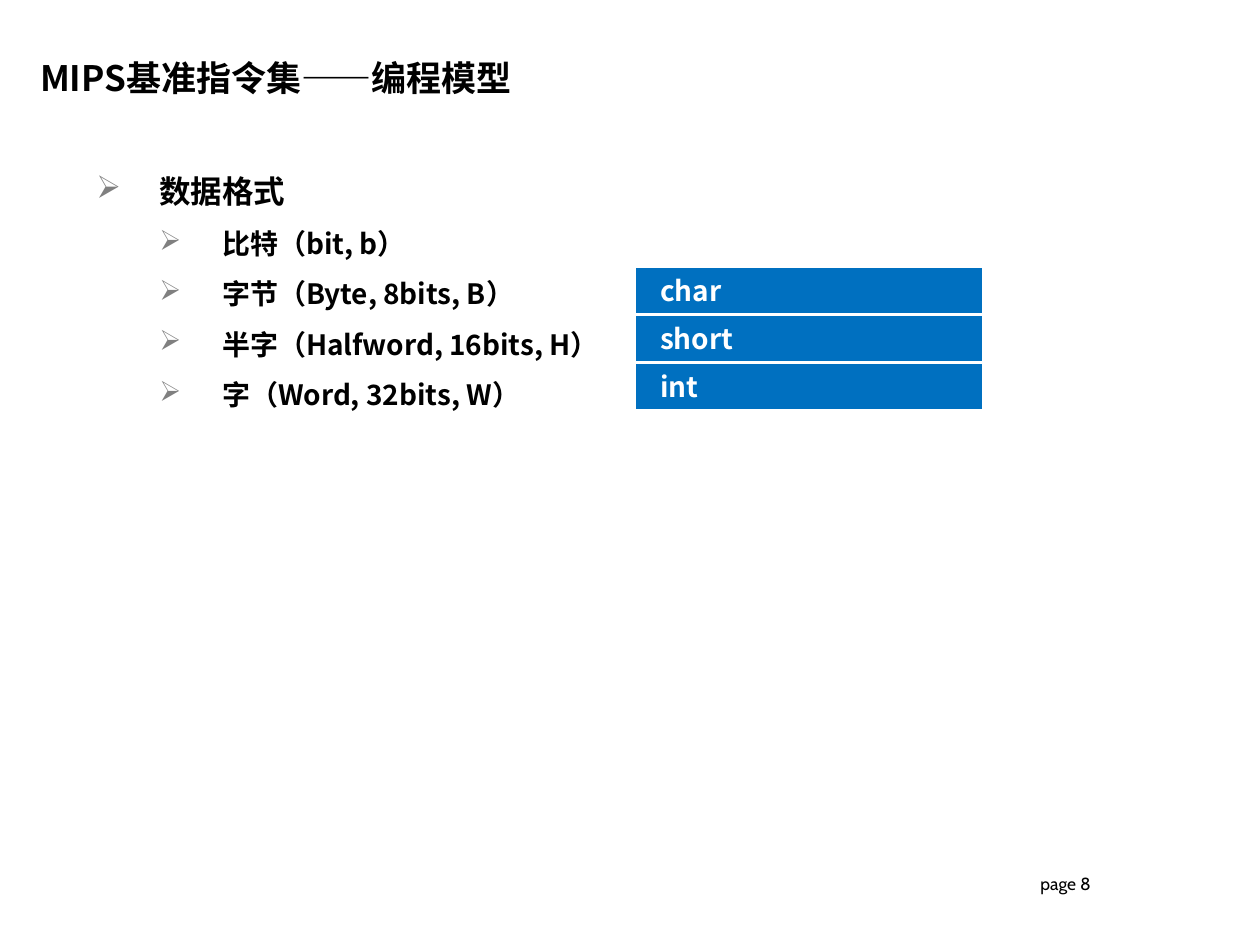
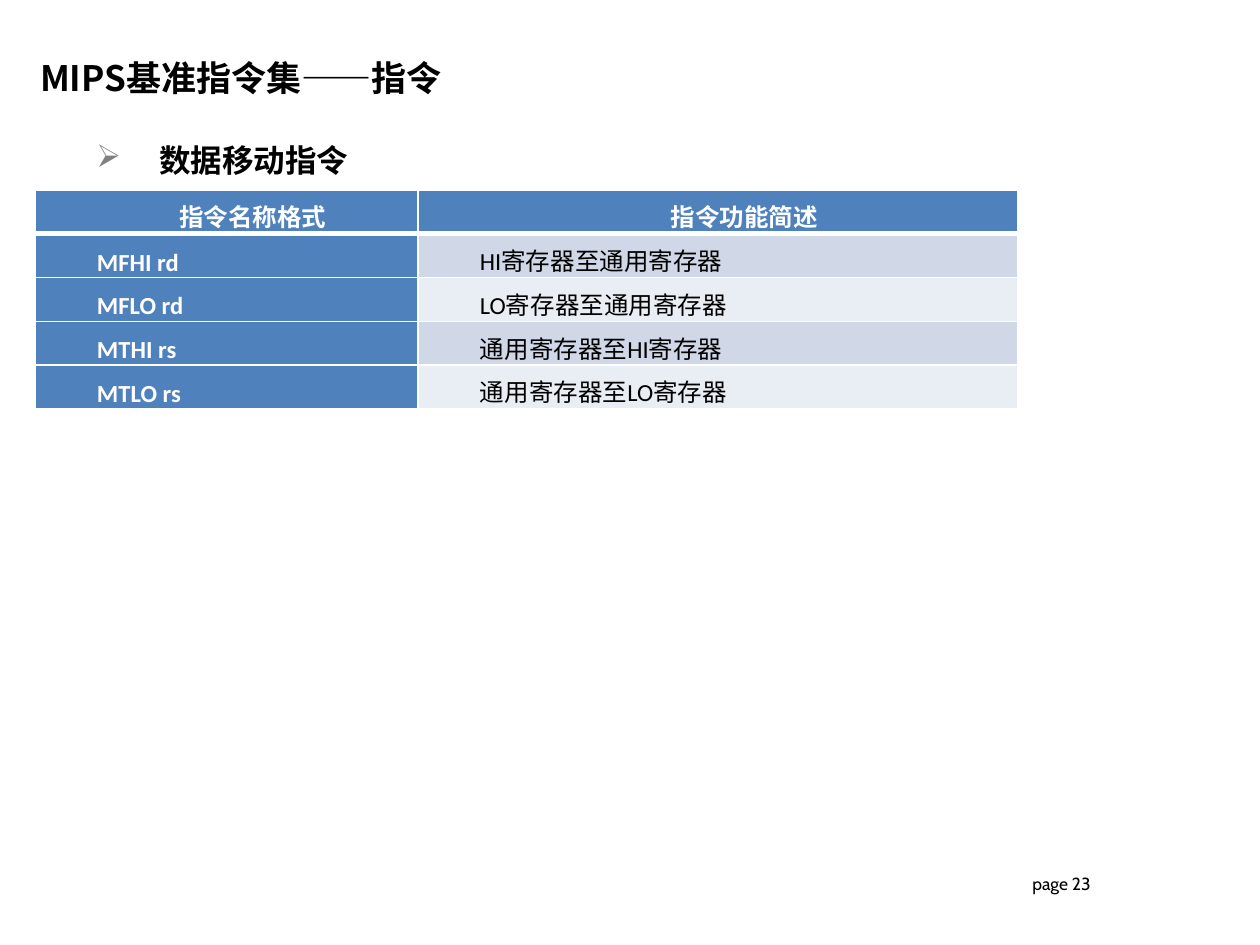
"""Builds two slides on the MIPS instruction set: data formats and data movement."""
from dataclasses import dataclass

from lxml.etree import SubElement
from pptx import Presentation
from pptx.dml.color import RGBColor
from pptx.enum.shapes import MSO_SHAPE
from pptx.enum.text import MSO_ANCHOR, PP_ALIGN
from pptx.oxml.ns import qn
from pptx.util import Pt

PX = 914400 // 126


@dataclass(frozen=True)
class Theme:
    black: str = "000000"
    white: str = "FFFFFF"
    bullet: str = "808080"
    bar: str = "0070C0"
    header: str = "4F81BD"
    bands: tuple = ("D0D8E8", "E9EDF4")
    heading_font: str = "Noto Sans CJK SC"
    table_font: str = "Calibri"
    footer_font: str = "Cabin"
    title_size: int = 20
    list_sizes: tuple = (18, 16)
    table_size: int = 14
    footer_size: int = 10


theme = Theme()


def style_text(paragraph, size, color, font=theme.heading_font, bold=True):
    for run in paragraph.runs:
        run.font.size = Pt(size)
        run.font.bold = bold
        run.font.name = font
        run.font.color.rgb = RGBColor.from_string(color)
        SubElement(run._r.get_or_add_rPr(), qn("a:ea"), typeface=theme.heading_font)


def add_text_frame(slide, left, top, width, height, anchor=MSO_ANCHOR.TOP):
    text_frame = slide.shapes.add_textbox(left * PX, top * PX, width * PX, height * PX).text_frame
    text_frame.word_wrap = True
    text_frame.vertical_anchor = anchor
    return text_frame


presentation = Presentation()
presentation.slide_width = 1260 * PX
presentation.slide_height = 945 * PX

pages = [
    ("MIPS基准指令集——编程模型", "page 8", 147, 273, [
        (0, "数据格式"),
        (1, "比特（bit, b）"),
        (1, "字节（Byte, 8bits, B）"),
        (1, "半字（Halfword, 16bits, H）"),
        (1, "字（Word, 32bits, W）"),
    ]),
    ("MIPS基准指令集——指令", "page 23", 116, 63, [(0, "数据移动指令")]),
]
slides = []
for title, page_label, list_top, list_height, items in pages:
    slide = presentation.slides.add_slide(presentation.slide_layouts[6])
    slides.append(slide)

    footer = add_text_frame(slide, 809, 859, 294, 50, MSO_ANCHOR.MIDDLE)
    footer.text = page_label
    footer.paragraphs[0].alignment = PP_ALIGN.RIGHT
    style_text(footer.paragraphs[0], theme.footer_size, theme.black, theme.footer_font, False)

    heading = add_text_frame(slide, 30, 48, 740, 55, MSO_ANCHOR.BOTTOM)
    heading.margin_left = heading.margin_right = 10 * PX
    heading.margin_top = heading.margin_bottom = 5 * PX
    heading.text = title
    style_text(heading.paragraphs[0], theme.title_size, theme.black)

    bullets = add_text_frame(slide, 21, list_top, 1183, list_height)
    bullets.text = "\n".join(text for level, text in items)
    for paragraph, (level, text) in zip(bullets.paragraphs, items):
        paragraph.level = level + 1
        paragraph.line_spacing = 1.5
        style_text(paragraph, theme.list_sizes[level], theme.black)
        properties = paragraph._p.get_or_add_pPr()
        properties.set("marL", str((126 + 63 * level) * PX))
        properties.set("indent", str(-63 * PX))
        bullet_color = SubElement(properties, qn("a:buClr"))
        SubElement(bullet_color, qn("a:srgbClr"), val=theme.bullet)
        SubElement(properties, qn("a:buChar"), char="➢")

format_slide, instruction_slide = slides

for index, c_type in enumerate(["char", "short", "int"]):
    bar = format_slide.shapes.add_shape(
        MSO_SHAPE.RECTANGLE, 635 * PX, (267 + 48 * index) * PX, 348 * PX, 47 * PX)
    bar.shadow.inherit = False
    bar.fill.solid()
    bar.fill.fore_color.rgb = RGBColor.from_string(theme.bar)
    bar.line.color.rgb = RGBColor.from_string(theme.white)
    bar.line.width = Pt(0.75)
    bar.text_frame.margin_left = 25 * PX
    bar.text_frame.vertical_anchor = MSO_ANCHOR.TOP
    bar.text_frame.text = c_type
    bar.text_frame.paragraphs[0].alignment = PP_ALIGN.LEFT
    style_text(bar.text_frame.paragraphs[0], theme.list_sizes[1], theme.white)

instructions = [
    ("指令名称格式", "指令功能简述"),
    ("MFHI rd", "HI寄存器至通用寄存器"),
    ("MFLO rd", "LO寄存器至通用寄存器"),
    ("MTHI rs", "通用寄存器至HI寄存器"),
    ("MTLO rs", "通用寄存器至LO寄存器"),
]
table = instruction_slide.shapes.add_table(
    len(instructions), 2, 35 * PX, 190 * PX, 983 * PX, 200 * PX).table
for column, width in zip(table.columns, (383, 600)):
    column.width = width * PX
for row_index, texts in enumerate(instructions):
    table.rows[row_index].height = 40 * PX
    is_header = row_index == 0
    for column_index, text in enumerate(texts):
        is_label = is_header or column_index == 0
        cell = table.cell(row_index, column_index)
        cell.margin_left = cell.margin_right = 9 * PX
        cell.margin_top = cell.margin_bottom = 0
        cell.vertical_anchor = MSO_ANCHOR.MIDDLE if is_header else MSO_ANCHOR.TOP
        cell.text = text
        paragraph = cell.text_frame.paragraphs[0]
        paragraph.alignment = PP_ALIGN.CENTER if is_header else PP_ALIGN.JUSTIFY
        paragraph.line_spacing = Pt(25)
        paragraph.space_before = Pt(10)
        paragraph._p.get_or_add_pPr().set("indent", str(53 * PX))
        style_text(paragraph, theme.table_size, theme.white if is_label else theme.black,
                   theme.table_font, is_label)
        for side in ("L", "R", "T", "B"):
            thick = (is_header and side == "B") or (row_index == 1 and side == "T")
            border = SubElement(cell._tc.get_or_add_tcPr(), qn(f"a:ln{side}"),
                                w=str(Pt(3 if thick else 1)))
            border_fill = SubElement(border, qn("a:solidFill"))
            SubElement(border_fill, qn("a:srgbClr"), val=theme.white)
        cell.fill.solid()
        fill_color = theme.header if is_label else theme.bands[(row_index - 1) % 2]
        cell.fill.fore_color.rgb = RGBColor.from_string(fill_color)

presentation.save("out.pptx")
